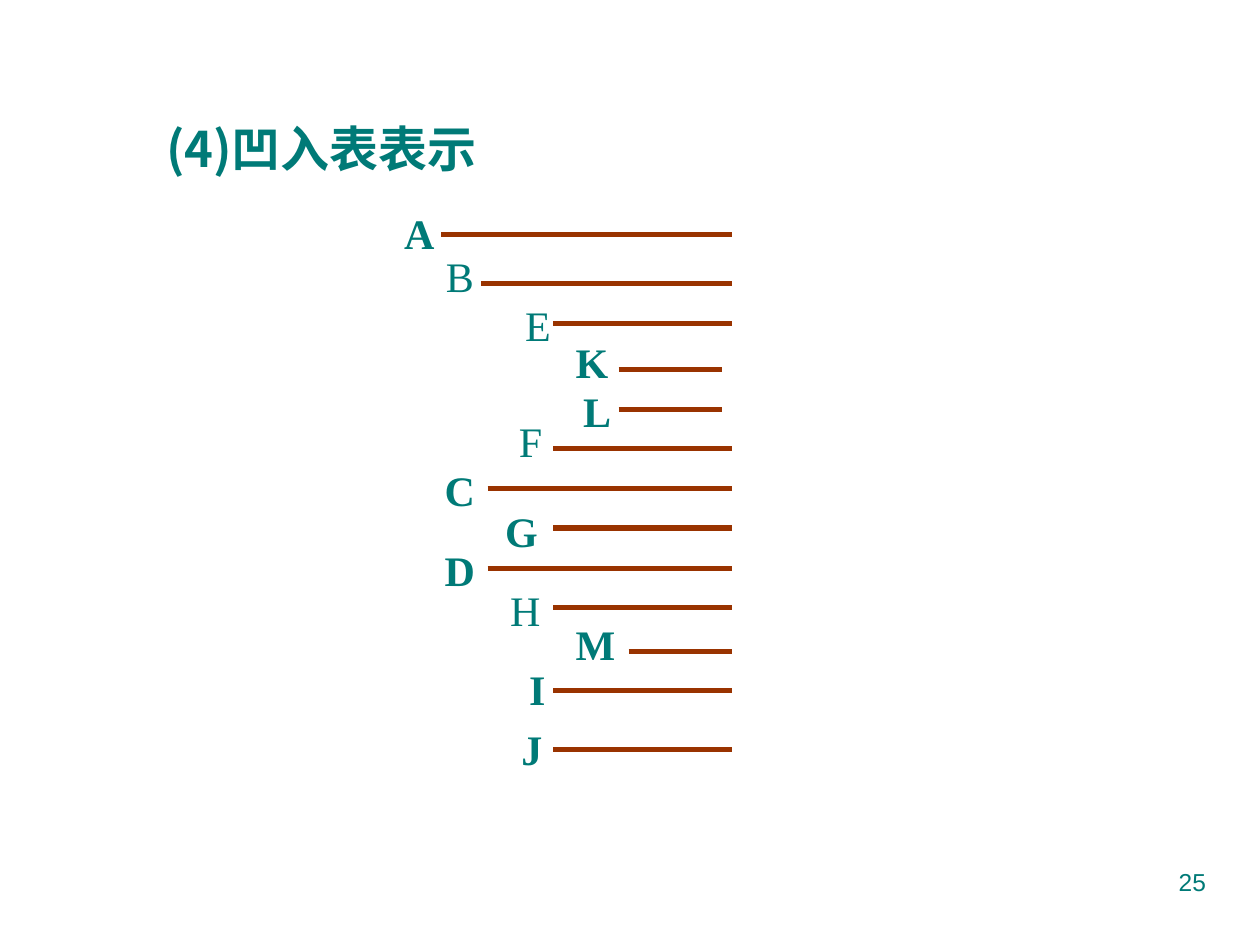
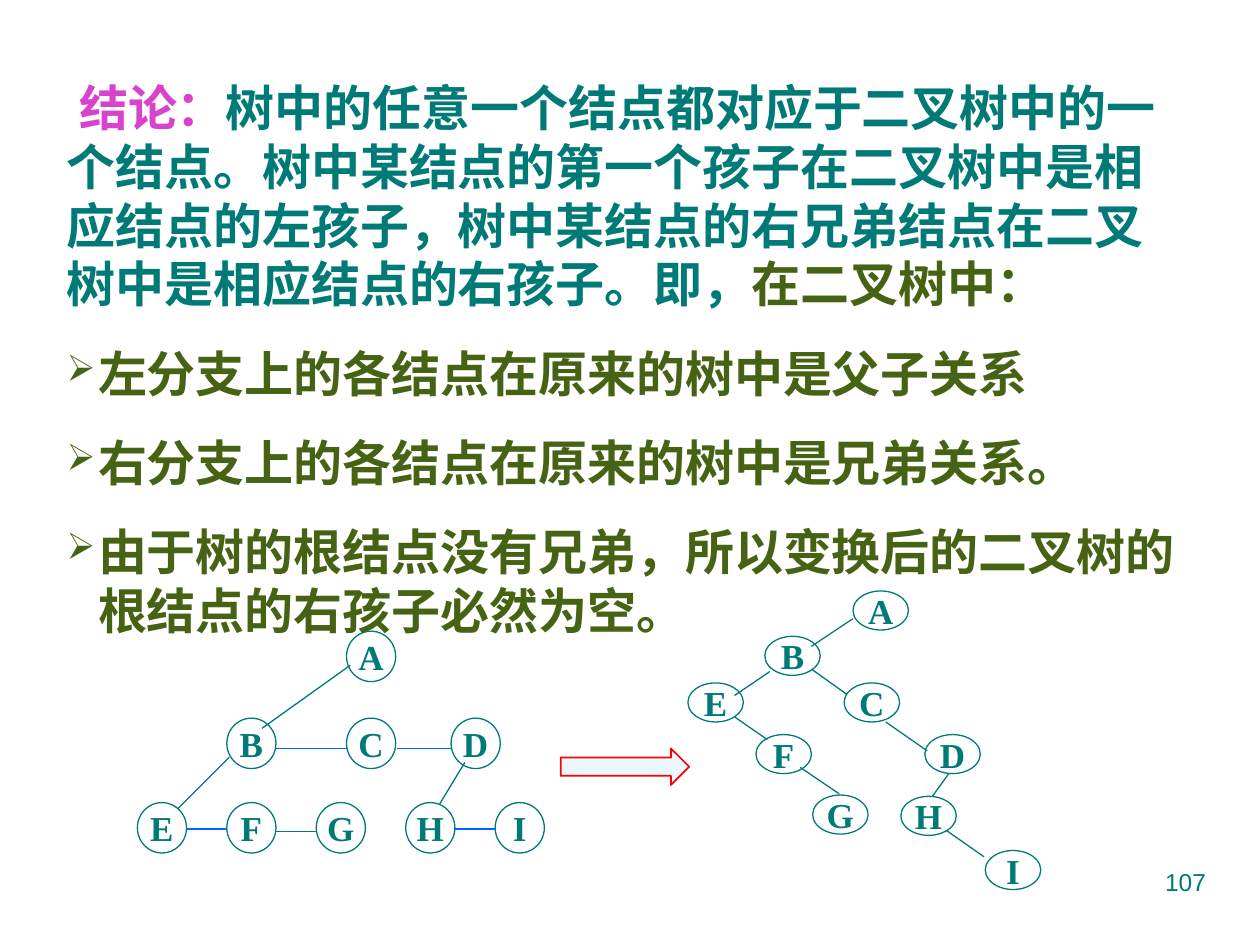
"""Build two slides on tree representations and tree to binary tree conversion."""
import lxml.etree
import pptx
import pptx.dml.color
import pptx.enum.shapes
import pptx.enum.text
import pptx.oxml.ns
import pptx.util

Inches = pptx.util.Inches
Pt = pptx.util.Pt
RGBColor = pptx.dml.color.RGBColor
MSO_SHAPE = pptx.enum.shapes.MSO_SHAPE
PP_ALIGN = pptx.enum.text.PP_ALIGN
qn = pptx.oxml.ns.qn

TEAL = RGBColor(0x00, 0x7A, 0x77)
BROWN = RGBColor(0x99, 0x33, 0x00)
PINK = RGBColor(0xD8, 0x42, 0xCD)
OLIVE = RGBColor(0x46, 0x63, 0x13)
BLUE = RGBColor(0x00, 0x66, 0xFF)
RED = RGBColor(0xFF, 0x00, 0x00)
PALE_BLUE = RGBColor(0xEB, 0xF7, 0xFF)
SERIF = "Times New Roman"
CHINESE = "Noto Sans CJK SC"
TITLE_FONT = "Noto Sans CJK JP"


def write_text(paragraph, text, size=28, color=TEAL, bold=True, font=SERIF,
               asian_font=None, align=PP_ALIGN.LEFT, line_height=None):
    paragraph.alignment = align
    if line_height:
        paragraph.line_spacing = Pt(line_height)
    run = paragraph.add_run()
    run.text = text
    run.font.size = Pt(size)
    run.font.bold = bold
    run.font.color.rgb = color
    run.font.name = font
    east_asian = lxml.etree.SubElement(run.font._element, qn("a:ea"))
    east_asian.set("typeface", asian_font or font)


def add_line(shapes, start, end, color=TEAL, width=0.75):
    points = [Inches(value) for value in (*start, *end)]
    line = shapes.add_connector(pptx.enum.shapes.MSO_CONNECTOR.STRAIGHT, *points)
    line.line.color.rgb = color
    line.line.width = Pt(width)
    lxml.etree.SubElement(line._element.spPr, qn("a:effectLst"))


presentation = pptx.Presentation()
presentation.slide_width = Inches(10)
presentation.slide_height = Inches(7.5)
slides = []
for number in ("25", "107"):
    slide = presentation.slides.add_slide(presentation.slide_layouts[6])
    number_box = slide.shapes.add_textbox(Inches(7.17), Inches(6.83), Inches(2.5), Inches(0.52))
    number_box.text_frame.word_wrap = True
    write_text(number_box.text_frame.paragraphs[0], number, size=14, bold=False,
               font="Arial", align=PP_ALIGN.RIGHT)
    slides.append(slide)
indented_slide, conclusion_slide = slides

title = indented_slide.shapes.add_textbox(Inches(1.22), Inches(0.7), Inches(5.53), Inches(0.71))
title.text_frame.word_wrap = True
title.text_frame.margin_top = Inches(0.1)
write_text(title.text_frame.paragraphs[0], "(4)凹入表表示", font=TITLE_FONT, line_height=44)

LINE_END = 5.81
SHORT_LINE_END = 5.73
indented_rows = [
    ("A", 3.11, 1.6, 3.5, 1.86),
    ("B", 3.44, 1.94, 3.82, 2.25),
    ("E", 4.07, 2.33, 4.39, 2.57),
    ("K", 4.47, 2.62, 4.91, 2.93),
    ("L", 4.53, 3.01, 4.91, 3.25),
    ("F", 4.02, 3.25, 4.39, 3.56),
    ("C", 3.43, 3.64, 3.87, 3.88),
    ("G", 3.91, 3.96, 4.39, 4.19),
    ("D", 3.43, 4.27, 3.87, 4.51),
    ("H", 3.95, 4.59, 4.39, 4.82),
    ("M", 4.47, 4.86, 4.99, 5.17),
    ("I", 4.1, 5.22, 4.39, 5.48),
    ("J", 4.04, 5.69, 4.39, 5.95),
]
for letter, left, top, line_start, line_top in indented_rows:
    line_end = SHORT_LINE_END if letter in "KL" else LINE_END
    add_line(indented_slide.shapes, (line_start, line_top), (line_end, line_top), BROWN, 3)
    label = indented_slide.shapes.add_textbox(Inches(left), Inches(top), Inches(0.55), Inches(0.5))
    label.text_frame.word_wrap = True
    write_text(label.text_frame.paragraphs[0], letter, size=24, bold=letter not in "BEFH")

conclusion = conclusion_slide.shapes.add_textbox(Inches(0.43), Inches(0.52), Inches(9), Inches(4.57))
conclusion.text_frame.word_wrap = True
conclusion.text_frame.margin_top = Inches(0.1)
opening = conclusion.text_frame.paragraphs[0]
opening._element.get_or_add_pPr().set("indent", str(Inches(0.1)))
for text, color in [
    ("结论：", PINK),
    ("树中的任意一个结点都对应于二叉树中的一个结点。树中某结点的第一个孩子在二叉树中是相应结点的左孩子，"
     "树中某结点的右兄弟结点在二叉树中是相应结点的右孩子。即，", TEAL),
    ("在二叉树中：", OLIVE),
]:
    write_text(opening, text, color=color, asian_font=CHINESE, line_height=33.5)

for text in [
    "左分支上的各结点在原来的树中是父子关系",
    "右分支上的各结点在原来的树中是兄弟关系。",
    "由于树的根结点没有兄弟，所以变换后的二叉树的根结点的右孩子必然为空。",
]:
    bullet = conclusion.text_frame.add_paragraph()
    bullet.space_before = Pt(17.5)
    properties = bullet._element.get_or_add_pPr()
    properties.set("marL", str(Inches(0.25)))
    properties.set("indent", str(-Inches(0.25)))
    bullet_color = lxml.etree.SubElement(properties, qn("a:buClr"))
    lxml.etree.SubElement(bullet_color, qn("a:srgbClr")).set("val", str(OLIVE))
    lxml.etree.SubElement(properties, qn("a:buSzPct")).set("val", "75000")
    lxml.etree.SubElement(properties, qn("a:buChar")).set("char", "➢")
    write_text(bullet, text, color=OLIVE, asian_font=CHINESE, line_height=33.5)

tree_nodes = {
    "A": (2.75, 5.01), "B": (1.8, 5.7), "C": (2.75, 5.7), "D": (3.58, 5.7),
    **{letter: (1.09 + 0.71 * column, 6.37) for column, letter in enumerate("EFGHI")},
}
tree_edges = [
    ((2.78, 5.28), (2.08, 5.78), TEAL),
    ((1.82, 6.01), (1.41, 6.42), TEAL),
    ((3.69, 6.05), (3.49, 6.38), TEAL),
    ((2.19, 5.94), (2.75, 5.94), BLUE),
    ((3.15, 5.94), (3.58, 5.94), BLUE),
    ((1.48, 6.58), (1.8, 6.58), BLUE),
    ((2.19, 6.6), (2.52, 6.6), TEAL),
    ((3.6, 6.58), (3.93, 6.58), BLUE),
]
binary_nodes = {
    "A": (6.77, 4.69), "B": (6.07, 5.05), "C": (6.7, 5.42),
    "D": (7.34, 5.83), "E": (5.46, 5.42), "F": (6, 5.83),
    "G": (6.45, 6.31), "H": (7.15, 6.32), "I": (7.82, 6.75),
}
binary_edges = [
    ((6.77, 4.91), (6.44, 5.13), TEAL),
    ((6.11, 5.33), (5.83, 5.52), TEAL),
    ((5.83, 5.69), (6.09, 5.87), TEAL),
    ((6.35, 6.09), (6.66, 6.3), TEAL),
    ((6.44, 5.31), (6.72, 5.51), TEAL),
    ((7.03, 5.73), (7.36, 5.96), TEAL),
    ((7.53, 6.14), (7.4, 6.32), TEAL),
    ((7.51, 6.59), (7.81, 6.8), TEAL),
]
for nodes, edges, node_width, node_height in [
    (tree_nodes, tree_edges, 0.39, 0.4),
    (binary_nodes, binary_edges, 0.44, 0.31),
]:
    tree = conclusion_slide.shapes.add_group_shape()
    for letter, (left, top) in nodes.items():
        node = tree.shapes.add_shape(MSO_SHAPE.OVAL, Inches(left), Inches(top),
                                     Inches(node_width), Inches(node_height))
        node.shadow.inherit = False
        node.fill.background()
        node.line.color.rgb = TEAL
        node.line.width = Pt(0.75)
        node.text_frame.word_wrap = False
        node.text_frame.vertical_anchor = pptx.enum.text.MSO_ANCHOR.MIDDLE
        write_text(node.text_frame.paragraphs[0], letter, size=20, align=PP_ALIGN.CENTER)
    for start, end, color in edges:
        add_line(tree.shapes, start, end, color)

arrow = conclusion_slide.shapes.add_shape(MSO_SHAPE.RIGHT_ARROW, Inches(4.45), Inches(5.94),
                                          Inches(1.02), Inches(0.29))
arrow.shadow.inherit = False
arrow.fill.solid()
arrow.fill.fore_color.rgb = PALE_BLUE
arrow.line.color.rgb = RED
arrow.line.width = Pt(1)

presentation.save("out.pptx")
